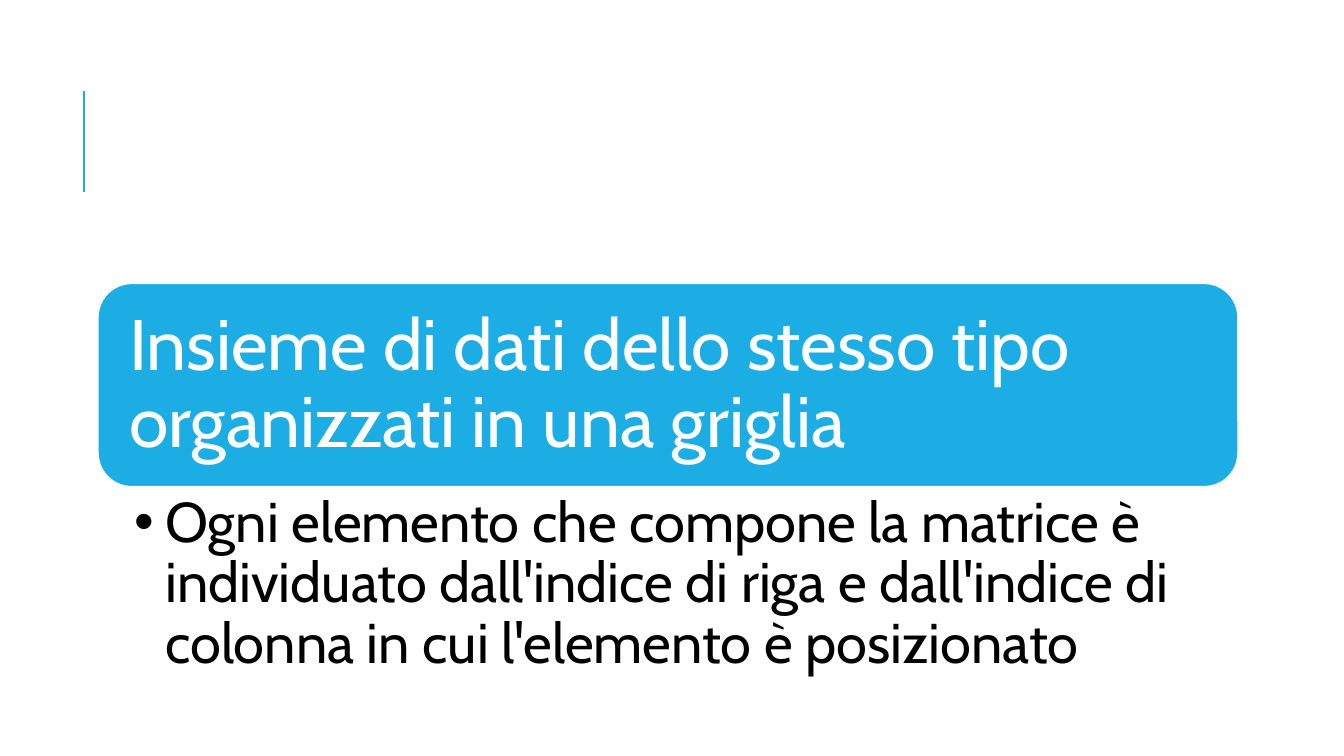
from lxml import etree
from pptx import Presentation
from pptx.dml.color import RGBColor
from pptx.enum.shapes import MSO_CONNECTOR, MSO_SHAPE
from pptx.enum.text import MSO_ANCHOR as Anchor, MSO_AUTO_SIZE as AutoSize, PP_ALIGN as Align
from pptx.oxml.ns import qn
from pptx.util import Inches, Pt

BLUE = RGBColor(0x1C, 0xAD, 0xE4)
WHITE = RGBColor(0xFF, 0xFF, 0xFF)
BLACK = RGBColor(0x00, 0x00, 0x00)
FONT = "Cabin"


def place(shape, left, top, width, height):
    shape.left, shape.top = Inches(left), Inches(top)
    shape.width, shape.height = Inches(width), Inches(height)


def add_accent_line(slide, left, top, bottom):
    line = slide.shapes.add_connector(
        MSO_CONNECTOR.STRAIGHT, Inches(left), Inches(bottom), Inches(left), Inches(top))
    line.line.color.rgb = BLUE
    line.line.width = Pt(1.5)
    properties = line.element.find(qn("p:spPr"))
    etree.SubElement(properties, qn("a:effectLst"))


def add_banner(slide, left, top, width, height):
    banner = slide.shapes.add_shape(
        MSO_SHAPE.ROUNDED_RECTANGLE, Inches(left), Inches(top), Inches(width), Inches(height))
    banner.shadow.inherit = False
    banner.fill.solid()
    banner.fill.fore_color.rgb = BLUE
    banner.line.color.rgb = WHITE
    banner.line.width = Pt(1.25)
    return banner


def set_bullet(paragraph, indent):
    properties = paragraph._p.get_or_add_pPr()
    properties.set("marL", str(Inches(indent)))
    properties.set("indent", str(-Inches(indent)))
    etree.SubElement(properties, qn("a:buChar"), char="•")


def write_text(shape, text, *, size, color, anchor, insets, bullet_indent=None):
    frame = shape.text_frame
    frame.word_wrap = True
    frame.auto_size = AutoSize.NONE
    frame.vertical_anchor = anchor
    (frame.margin_left, frame.margin_top,
     frame.margin_right, frame.margin_bottom) = map(Inches, insets)
    paragraph = frame.paragraphs[0]
    if bullet_indent is not None:
        set_bullet(paragraph, bullet_indent)
    paragraph.alignment = Align.LEFT
    paragraph.line_spacing = 0.9
    paragraph.space_before = Pt(0)
    run = paragraph.add_run()
    run.text = text
    run.font.name = FONT
    run.font.size = Pt(size)
    run.font.color.rgb = color


def main():
    presentation = Presentation()
    presentation.slide_width = Inches(13.33)
    presentation.slide_height = Inches(7.5)
    slide = presentation.slides.add_slide(presentation.slide_layouts[1])
    title, body = slide.shapes.title, slide.placeholders[1]

    add_accent_line(slide, 0.83, 0.9, 1.9)
    banner = add_banner(slide, 0.97, 2.81, 11.31, 2.02)
    banner.element.addnext(title.element)

    place(title, 1.07, 2.91, 11.11, 1.83)
    write_text(title, "Insieme di dati dello stesso tipo organizzati in una griglia",
               size=51, color=WHITE, anchor=Anchor.MIDDLE, insets=(0.21, 0.21, 0.21, 0.21))

    place(body, 0.97, 4.83, 11.31, 1.79)
    write_text(body, "Ogni elemento che compone la matrice è individuato dall'indice di riga "
                     "e dall'indice di colonna in cui l'elemento è posizionato",
               size=40, color=BLACK, anchor=Anchor.TOP, insets=(0.36, 0.07, 0.4, 0.07),
               bullet_indent=0.31)

    presentation.save("out.pptx")


if __name__ == "__main__":
    main()
